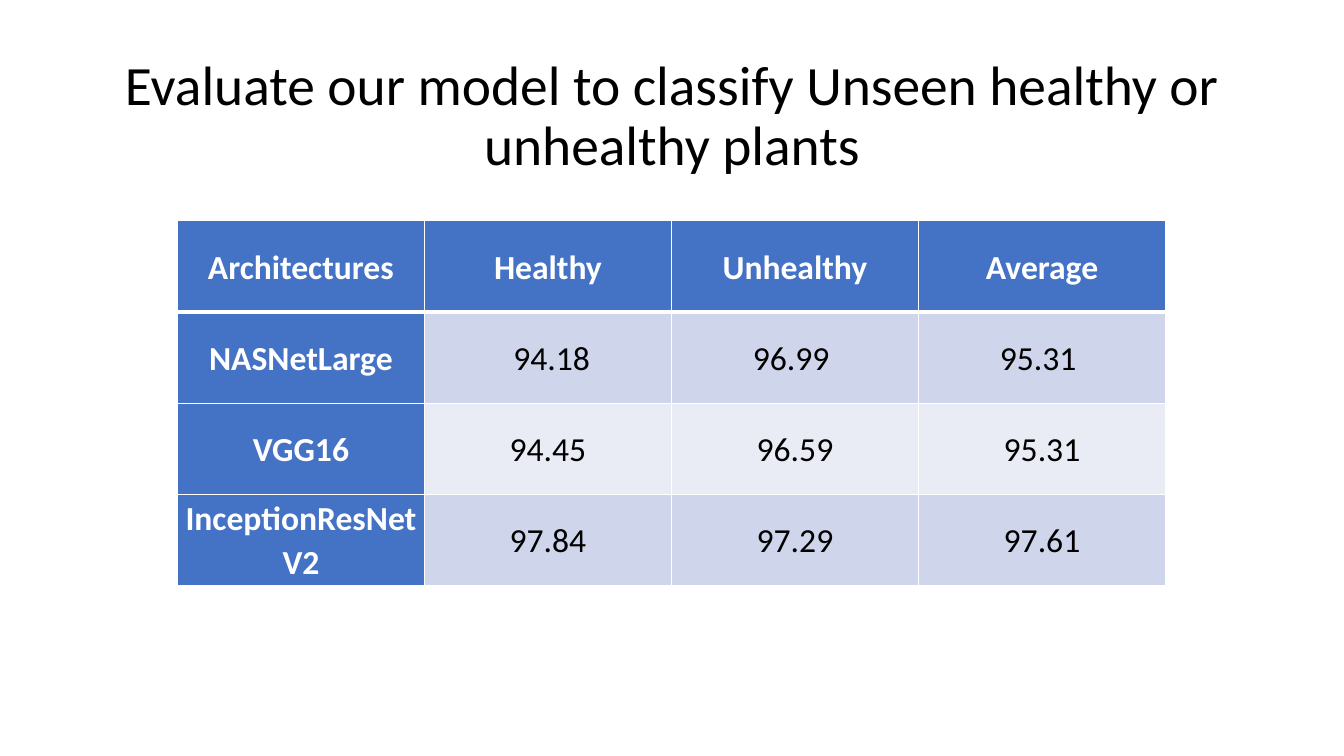
from pptx import Presentation
from pptx.dml.color import RGBColor
from pptx.enum.text import MSO_ANCHOR, PP_ALIGN
from pptx.oxml import parse_xml
from pptx.oxml.ns import nsdecls
from pptx.util import Inches, Pt

MIDDLE = MSO_ANCHOR.MIDDLE
CENTER = PP_ALIGN.CENTER
WHITE, BLACK, BLUE = "FFFFFF", "000000", "4472C4"
BANDS = ["CFD5EA", "E9EBF5"]
TITLE = "Evaluate our model to classify Unseen healthy or unhealthy plants"
ROWS = [
    ["Architectures", "Healthy", "Unhealthy", "Average"],
    ["NASNetLarge", " 94.18", "96.99 ", "95.31 "],
    ["VGG16", "94.45", "96.59", "95.31"],
    ["InceptionResNetV2", "97.84", "97.29", "97.61"],
]


def color(code):
    return RGBColor.from_string(code)


class Deck:
    font = "Calibri"

    def __init__(self):
        self.prs = Presentation()
        self.prs.slide_width = Inches(13.33)
        self.prs.slide_height = Inches(7.5)
        self.slide = self.prs.slides.add_slide(self.prs.slide_layouts[6])

    def text(self, frame, words, size, ink, bold, space):
        frame.word_wrap = True
        para = frame.paragraphs[0]
        para.alignment = CENTER
        para.line_spacing = space
        run = para.add_run()
        run.text = words
        run.font.name = self.font
        run.font.size = Pt(size)
        run.font.bold = bold
        run.font.color.rgb = color(ink)

    def title(self, words, left, top, width, height):
        box = self.slide.shapes.add_textbox(
            Inches(left), Inches(top), Inches(width), Inches(height))
        frame = box.text_frame
        frame.vertical_anchor = MIDDLE
        frame.margin_bottom = Inches(0.65)
        self.text(frame, words, 39.6, BLACK, False, 0.9)

    def border(self, cell, side, width):
        line = parse_xml(
            f'<a:{side} {nsdecls("a")} w="{Pt(width)}"><a:solidFill>'
            f'<a:srgbClr val="{WHITE}"/></a:solidFill></a:{side}>')
        cell._tc.get_or_add_tcPr().append(line)

    def cell(self, cell, words, row, col):
        head = row == 0 or col == 0
        for side in ("lnL", "lnR", "lnT", "lnB"):
            thick = (row, side) in ((0, "lnB"), (1, "lnT"))
            self.border(cell, side, 3 if thick else 1)
        cell.fill.solid()
        cell.fill.fore_color.rgb = color(BLUE if head else BANDS[(row - 1) % 2])
        cell.vertical_anchor = MIDDLE
        cell.margin_left = cell.margin_right = Inches(0.07)
        cell.margin_top = cell.margin_bottom = 0
        self.text(cell.text_frame, words, 24, WHITE if head else BLACK, head, 1.07)

    def table(self, rows, left, top, width, height):
        grid = self.slide.shapes.add_table(
            len(rows), len(rows[0]), Inches(left), Inches(top),
            Inches(width), Inches(height)).table
        for r, line in enumerate(rows):
            for c, words in enumerate(line):
                self.cell(grid.cell(r, c), words, r, c)


def main():
    deck = Deck()
    deck.title(TITLE, 0, 0.74, 13.33, 1.45)
    deck.table(ROWS, 1.76, 2.19, 9.8, 3.62)
    deck.prs.save("out.pptx")


if __name__ == "__main__":
    main()
